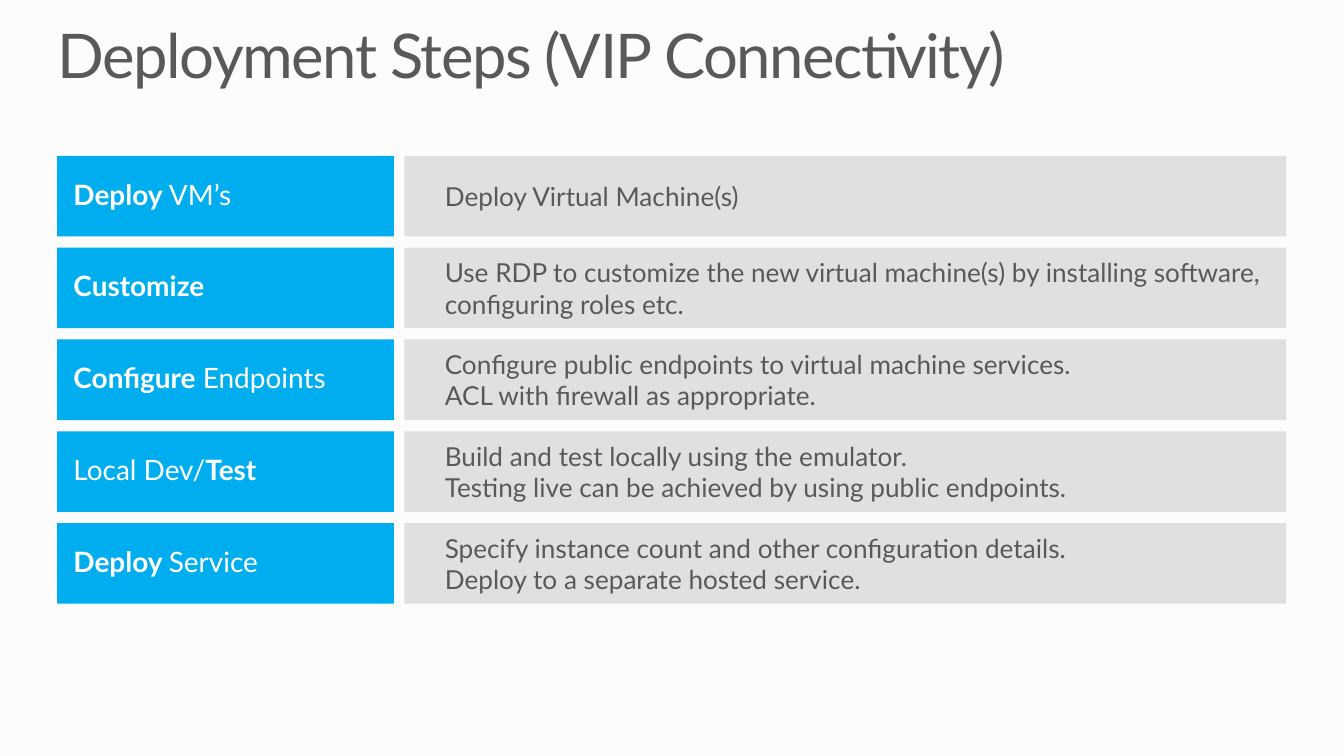
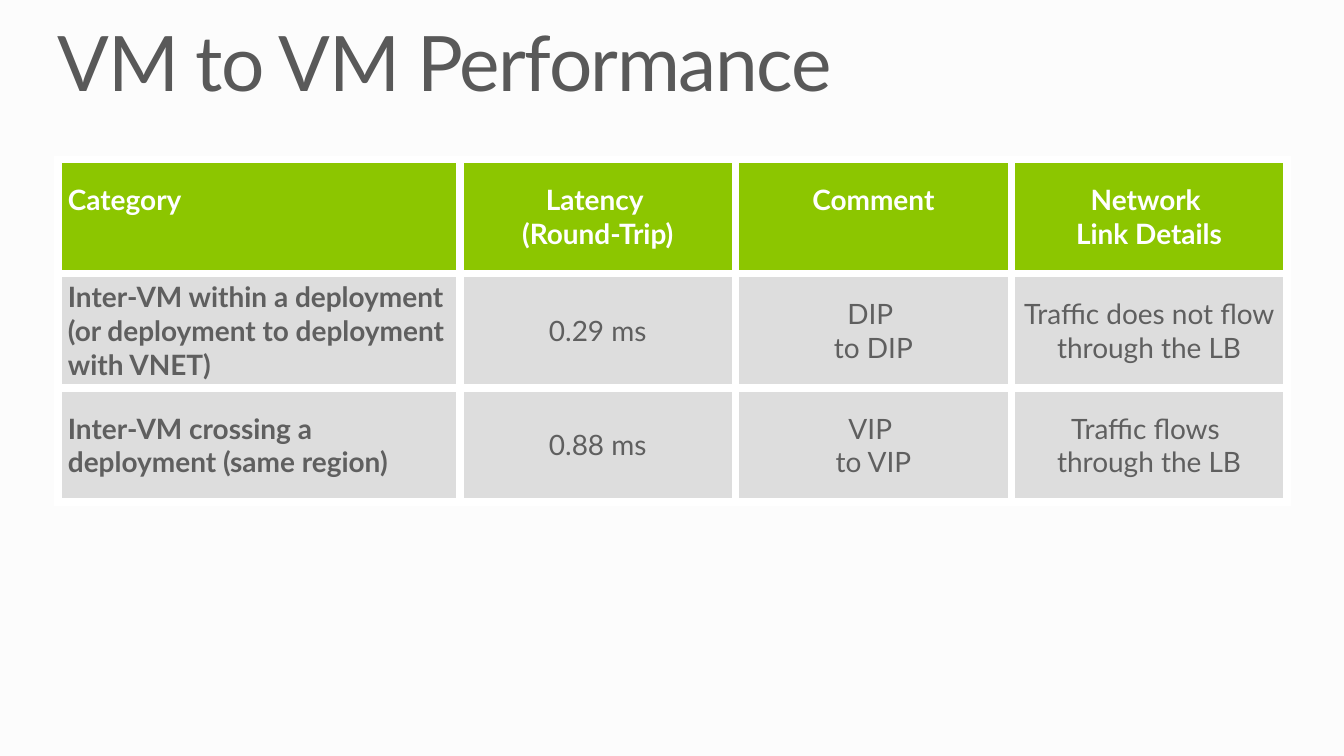
from dataclasses import dataclass

from pptx import Presentation
from pptx.dml.color import RGBColor
from pptx.enum import shapes, text
from pptx.oxml import ns, xmlchemy
from pptx.util import Pt


@dataclass(frozen=True)
class Theme:
    font: str = "Lato"
    background: str = "FCFCFC"
    ink: str = "595959"
    table_ink: str = "5F5F5F"
    white: str = "FFFFFF"
    blue: str = "00AEEF"
    green: str = "8CC600"
    grey: str = "DDDDDD"
    step_size: float = 15
    detail_size: float = 14
    table_size: float = 15
    table_line: float = 18
    border: float = 4.5


THEME = Theme()
LEFT, WIDTH = 31, 658.5

# Each step: label runs as (words, bold), then the detail
STEPS = [
    ([("Deploy", True), (" VM’s", False)], "Deploy Virtual Machine(s)"),
    ([("Customize", True)],
     "Use RDP to customize the new virtual machine(s) by installing software, "
     "configuring roles etc."),
    ([("Configure", True), (" Endpoints", False)],
     "Configure public endpoints to virtual machine services. \n"
     "ACL with firewall as appropriate."),
    ([("Local Dev/", False), ("Test", True)],
     "Build and test locally using the emulator. \n"
     "Testing live can be achieved by using public endpoints."),
    ([("Deploy ", True), ("Service", False)],
     "Specify instance count and other configuration details. \n"
     "Deploy to a separate hosted service."),
]

PERFORMANCE = [
    ["Category", "Latency \n(Round-Trip)", "Comment", "Network \nLink Details"],
    ["Inter-VM within a deployment (or deployment to deployment with VNET)",
     "0.29 ms", "DIP \nto DIP", "Traffic does not flow through the LB"],
    ["Inter-VM crossing a deployment (same region)",
     "0.88 ms", "VIP \nto VIP", "Traffic flows \nthrough the LB"],
]


def apply(target, formats):
    for name, value in formats.items():
        setattr(target, name, value)


def margins(left, top, right, bottom):
    sides = {"left": left, "top": top, "right": right, "bottom": bottom}
    return {f"margin_{side}": Pt(size) for side, size in sides.items()}


def add_child(parent, tag, **attributes):
    child = xmlchemy.OxmlElement(tag)
    for name, value in attributes.items():
        child.set(name, str(value))
    parent.append(child)
    return child


class Deck:
    def __init__(self, theme):
        self.theme = theme
        self.prs = Presentation()
        apply(self.prs, {"slide_width": Pt(720), "slide_height": Pt(405)})
        self.slide = None

    def fill(self, target, color):
        target.fill.solid()
        target.fill.fore_color.rgb = RGBColor.from_string(color)

    def add_text(self, frame, runs, size, color, tracking=None, **paragraph_format):
        """Put (words, bold) runs into one paragraph; a newline is a line break."""
        paragraph = frame.paragraphs[0]
        apply(paragraph, paragraph_format)
        for words, bold in runs:
            for number, line in enumerate(words.split("\n")):
                if number:
                    paragraph.add_line_break()
                run = paragraph.add_run()
                run.text = line
                apply(run.font, {"name": self.theme.font, "size": Pt(size), "bold": bold})
                run.font.color.rgb = RGBColor.from_string(color)
                if tracking:
                    run._r.get_or_add_rPr().set("spc", str(round(tracking * 100)))

    def add_slide(self, title, size, height):
        self.slide = self.prs.slides.add_slide(self.prs.slide_layouts[6])
        self.fill(self.slide.background, self.theme.background)
        heading = self.slide.shapes.add_textbox(Pt(LEFT), Pt(13.7), Pt(WIDTH), Pt(height))
        frame = heading.text_frame
        apply(frame, {"word_wrap": True, **margins(0, 0, 0, 0)})
        self.add_text(frame, [(title, False)], size, self.theme.ink,
                      tracking=-0.8, line_spacing=0.9)

    def add_box(self, left, top, width, height, color, insets, opacity=100):
        """Add a filled rectangle and return its text frame."""
        box = self.slide.shapes.add_shape(
            shapes.MSO_SHAPE.RECTANGLE, Pt(left), Pt(top), Pt(width), Pt(height))
        box.shadow.inherit = False
        box.line.fill.background()
        self.fill(box, color)
        if opacity < 100:
            tint = box._element.spPr.find(".//" + ns.qn("a:srgbClr"))
            add_child(tint, "a:alpha", val=opacity * 1000)
        frame = box.text_frame
        apply(frame, {"word_wrap": True, "vertical_anchor": text.MSO_ANCHOR.MIDDLE,
                      **margins(*insets)})
        return frame

    def add_step(self, top, label, detail):
        theme, height = self.theme, 43.2
        frame = self.add_box(30.6, top, 180.5, height, theme.blue, (8.8, 5.8, 8.8, 5.8))
        self.add_text(frame, label, theme.step_size, theme.white,
                      alignment=text.PP_ALIGN.LEFT, line_spacing=0.9)
        frame = self.add_box(216.7, top, 472.3, height, theme.grey,
                             (21.6, 2.9, 5.8, 2.9), opacity=90)
        self.add_text(frame, [(detail, False)], theme.detail_size, theme.ink,
                      alignment=text.PP_ALIGN.LEFT, space_before=Pt(4.5))

    def add_borders(self, cell):
        properties = cell._tc.get_or_add_tcPr()
        for side in ("a:lnL", "a:lnR", "a:lnT", "a:lnB"):
            line = add_child(properties, side, w=Pt(self.theme.border))
            add_child(add_child(line, "a:solidFill"), "a:srgbClr", val=self.theme.white)

    def add_table(self, rows, top, widths, row_height):
        theme = self.theme
        table = self.slide.shapes.add_table(
            len(rows), len(widths), Pt(LEFT), Pt(top),
            Pt(sum(widths)), Pt(row_height * len(rows))).table
        table.horz_banding = False
        for column, width in zip(table.columns, widths):
            column.width = Pt(width)
        for row_number, (row, values) in enumerate(zip(table.rows, rows)):
            row.height = Pt(row_height)
            header = row_number == 0
            for column_number, (cell, value) in enumerate(zip(row.cells, values)):
                first = column_number == 0
                # One-line headings align with the first line of two-line headings
                lift = theme.table_line if header and "\n" not in value else 0
                self.add_borders(cell)
                self.fill(cell, theme.green if header else theme.grey)
                apply(cell, {"vertical_anchor": text.MSO_ANCHOR.MIDDLE,
                             **margins(5.4, 2.7, 5.4, 2.7 + lift)})
                self.add_text(cell.text_frame, [(value, header or first)], theme.table_size,
                              theme.white if header else theme.table_ink,
                              alignment=text.PP_ALIGN.LEFT if first else text.PP_ALIGN.CENTER)


def main():
    deck = Deck(THEME)

    deck.add_slide("Deployment Steps (VIP Connectivity)", size=33, height=36)
    for number, (label, detail) in enumerate(STEPS):
        deck.add_step(83.5 + 49.2 * number, label, detail)

    deck.add_slide("VM to VM Performance", size=41, height=44.6)
    deck.add_table(PERFORMANCE, top=85.4, widths=[215.4] + [147.7] * 3, row_height=61.2)

    deck.prs.save("out.pptx")


if __name__ == "__main__":
    main()
